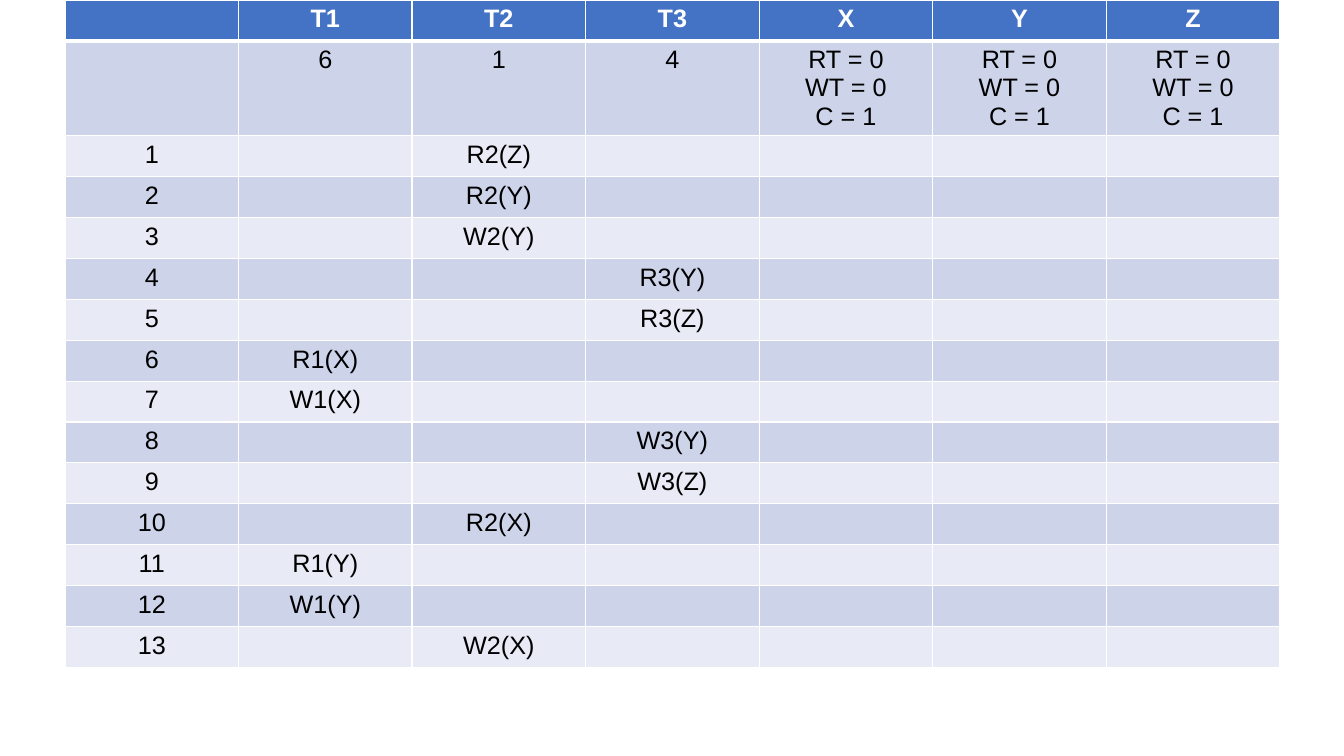
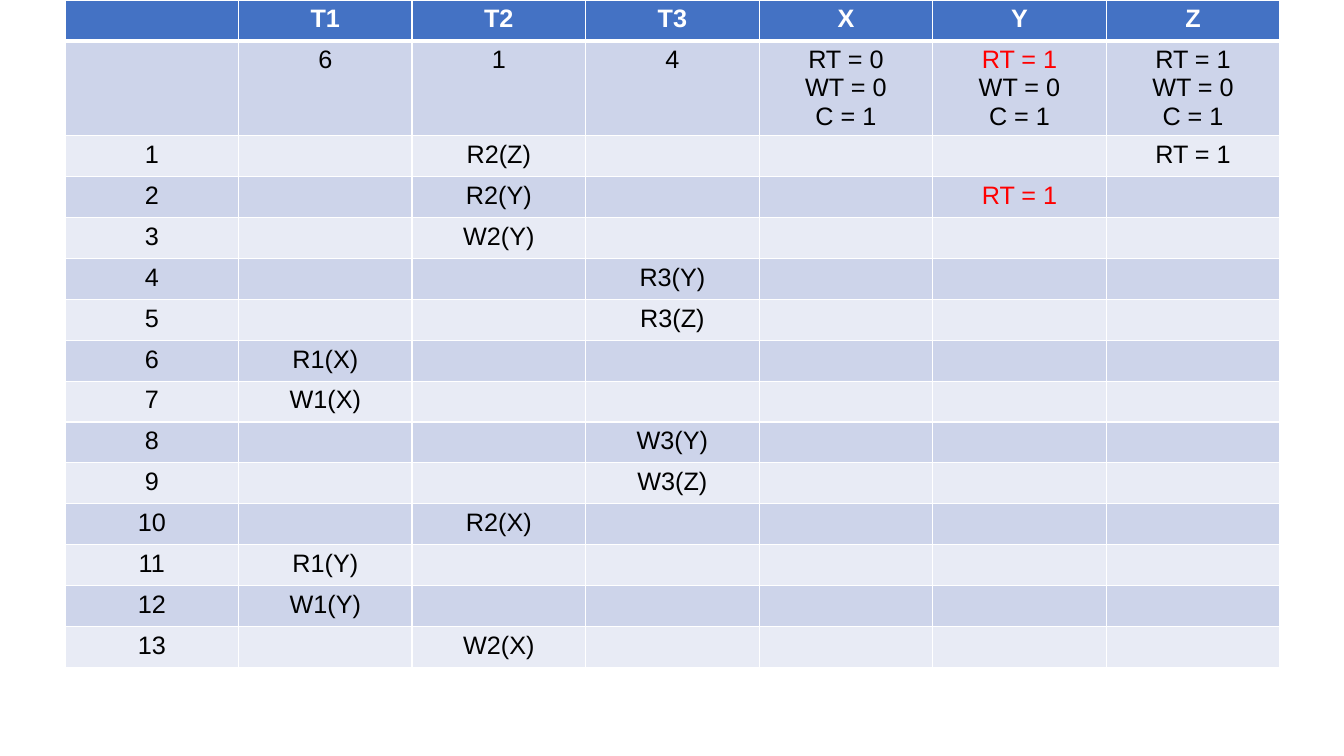
from lxml import etree
from pptx import Presentation
from pptx import util as u
from pptx.dml.color import RGBColor
from pptx.enum import text
from pptx.oxml import ns

HEADER_BLUE = RGBColor(0x44, 0x72, 0xC4)
BAND_DARK = RGBColor(0xCD, 0xD4, 0xEA)
BAND_LIGHT = RGBColor(0xE8, 0xEB, 0xF5)
WHITE = RGBColor(0xFF, 0xFF, 0xFF)
BLACK = RGBColor(0x00, 0x00, 0x00)
RED = RGBColor(0xFF, 0x00, 0x00)
FONT = "Arial"

SCALE = 12192000 / 1344
TABLE_LEFT, TABLE_TOP, TABLE_WIDTH = 65, 0, 1215
ROW_HEIGHT, STATE_HEIGHT = 38, 95

HEADINGS = ["", "T1", "T2", "T3", "X", "Y", "Z"]
TIMESTAMPS = ["", "6", "1", "4"]
OPERATIONS = ["R2(Z)", "R2(Y)", "W2(Y)", "R3(Y)", "R3(Z)", "R1(X)", "W1(X)",
              "W3(Y)", "W3(Z)", "R2(X)", "R1(Y)", "W1(Y)", "W2(X)"]

STEPS = [
    {"read_times": {"X": 0, "Y": 0, "Z": 0}, "updates": {}, "current": None},
    {"read_times": {"X": 0, "Y": 1, "Z": 1}, "updates": {1: "Z", 2: "Y"}, "current": "Y"},
]


def px(length):
    return u.Emu(round(length * SCALE))


def write(cell, content, color=BLACK, first_color=None, bold=False, fill=BAND_LIGHT, top=1, bottom=1):
    cell.fill.solid()
    cell.fill.fore_color.rgb = fill
    properties = cell._tc.get_or_add_tcPr()
    for position, (side, weight) in enumerate([("lnL", 1), ("lnR", 1), ("lnT", top), ("lnB", bottom)]):
        border = etree.Element(ns.qn(f"a:{side}"), w=str(u.Pt(weight)))
        solid = etree.SubElement(border, ns.qn("a:solidFill"))
        etree.SubElement(solid, ns.qn("a:srgbClr"), val=str(WHITE))
        properties.insert(position, border)
    frame = cell.text_frame
    frame.text = content
    for index, paragraph in enumerate(frame.paragraphs):
        paragraph.alignment = text.PP_ALIGN.CENTER
        for run in paragraph.runs:
            run.font.name = FONT
            run.font.size = u.Pt(18)
            run.font.bold = bold
            run.font.color.rgb = first_color if first_color and index == 0 else color


deck = Presentation()
deck.slide_width = px(1344)
deck.slide_height = px(756)

for step in STEPS:
    slide = deck.slides.add_slide(deck.slide_layouts[6])
    states = [f"RT = {read_time}\nWT = 0\nC = 1" for read_time in step["read_times"].values()]
    rows = [HEADINGS, TIMESTAMPS + states]
    for number, operation in enumerate(OPERATIONS, 1):
        row = [str(number)] + [""] * (len(HEADINGS) - 1)
        row[int(operation[1])] = operation
        if number in step["updates"]:
            item = step["updates"][number]
            row[HEADINGS.index(item)] = f"RT = {step['read_times'][item]}"
        rows.append(row)

    heights = [ROW_HEIGHT, STATE_HEIGHT] + [ROW_HEIGHT] * len(OPERATIONS)
    schedule = slide.shapes.add_table(
        len(rows), len(HEADINGS), px(TABLE_LEFT), px(TABLE_TOP), px(TABLE_WIDTH), px(sum(heights))
    ).table
    for r, row in enumerate(rows):
        schedule.rows[r].height = px(heights[r])
        for c, content in enumerate(row):
            cell = schedule.cell(r, c)
            if r == 0:
                write(cell, content, color=WHITE, bold=True, fill=HEADER_BLUE, bottom=3)
            else:
                write(cell, content,
                      first_color=RED if HEADINGS[c] == step["current"] else None,
                      fill=BAND_DARK if r % 2 else BAND_LIGHT,
                      top=3 if r == 1 else 1)

deck.save("out.pptx")
